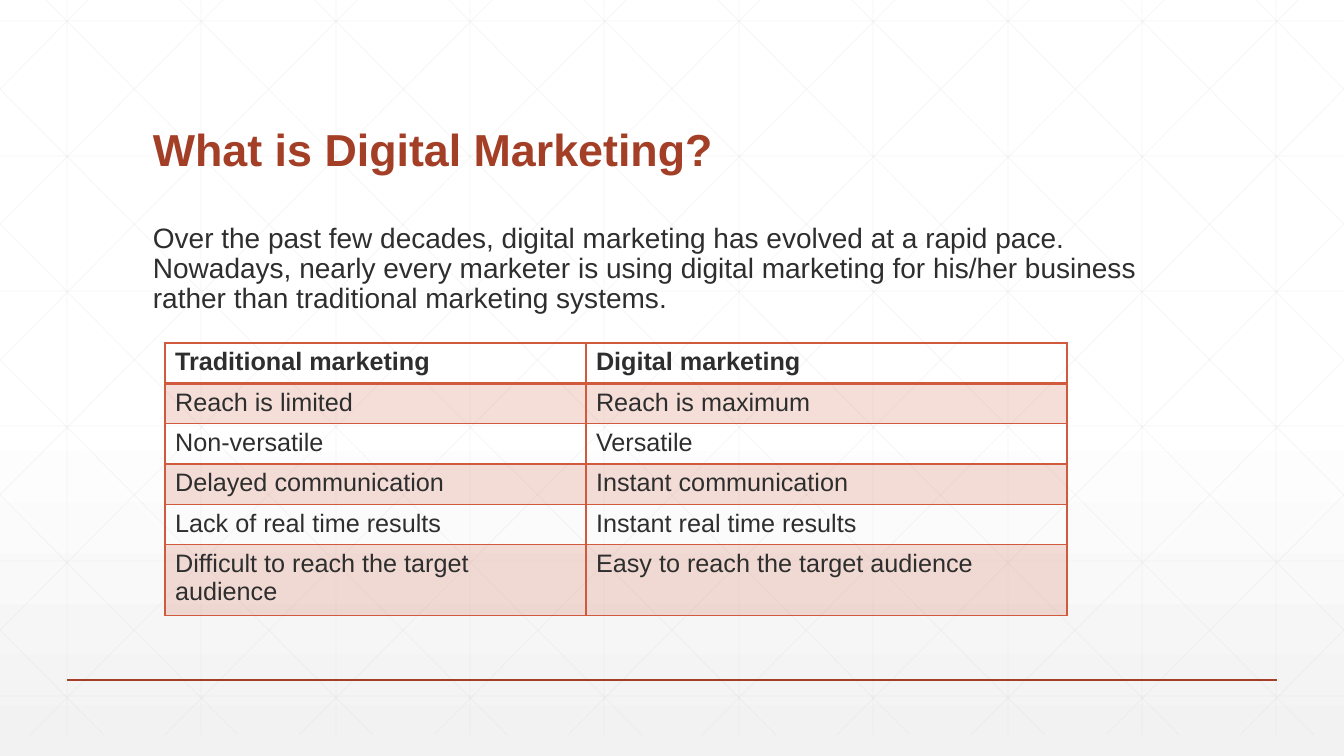
from copy import deepcopy
from dataclasses import dataclass
from lxml import etree
from pptx import Presentation, util as u
from pptx.dml.color import RGBColor
from pptx.enum import shapes, text
from pptx.oxml import ns


@dataclass(frozen=True)
class Theme:
    font: str = "Arial"
    ink: str = "2D2E2D"
    accent: str = "A43F27"
    table: str = "D15A3E"
    grid: str = "D9D9D9"
    paper: str = "FFFFFF"
    shade: str = "F2F2F2"
    title_size: int = 32
    body_size: int = 20
    table_size: int = 18


theme = Theme()
PIXEL = 914400 / 100.8
WIDTH, HEIGHT = 1344, 756
TOP, BOTTOM = -21, 735


def px(*lengths):
    return [u.Emu(round(length * PIXEL)) for length in lengths]


def write(frame, words, size, color=theme.ink, bold=False, spacing=1.0, before=0):
    frame.word_wrap = True
    paragraph = frame.paragraphs[0]
    paragraph.alignment = text.PP_ALIGN.LEFT
    paragraph.line_spacing = spacing
    paragraph.space_before = u.Pt(before)
    run = paragraph.add_run()
    run.text = words
    run.font.name = theme.font
    run.font.size = u.Pt(size)
    run.font.bold = bold
    run.font.color.rgb = RGBColor.from_string(color)


presentation = Presentation()
presentation.slide_width, presentation.slide_height = px(WIDTH, HEIGHT)
slide = presentation.slides.add_slide(presentation.slide_layouts[6])

background = slide.background.fill
background.gradient()
background.gradient_angle = 270
stop_list = slide.element.xpath(".//a:gsLst")[0]
stop_list.insert(1, deepcopy(stop_list[0]))
backdrop = [(0, theme.paper), (0.53, theme.paper), (1, theme.shade)]
for stop, (position, color) in zip(background.gradient_stops, backdrop):
    stop.position = position
    stop.color.rgb = RGBColor.from_string(color)
etree.SubElement(stop_list[-1][0], ns.qn("a:alpha"), val="65000")

lines = []
for column in range(10):
    x = WIDTH * (2 * column + 1) // 20
    lines.append((x, TOP, x, BOTTOM, theme.grid, 0.5, 25))
for row in range(6):
    y = 21 + 135 * row
    lines.append((0, y, WIDTH, y, theme.grid, 0.5, 25))

RUN = 751
slope = (BOTTOM - TOP) / RUN
for step in range(-5, 10):
    start = 25 + WIDTH * step / 10
    left, right = max(start, 0), min(start + RUN, WIDTH)
    upper, lower = [round(TOP + (x - start) * slope) for x in (left, right)]
    left, right = round(left), round(right)
    lines.append((left, upper, right, lower, theme.grid, 0.5, 25))
    lines.append((WIDTH - left, upper, WIDTH - right, lower, theme.grid, 0.5, 25))
lines.append((67, 680, 1277, 680, theme.accent, 1, 100))

for x1, y1, x2, y2, color, weight, opacity in lines:
    connector = slide.shapes.add_connector(shapes.MSO_CONNECTOR.STRAIGHT, *px(x1, y1, x2, y2))
    connector.line.width = u.Pt(weight)
    connector.line.color.rgb = RGBColor.from_string(color)
    if opacity < 100:
        tint = connector.element.xpath(".//a:ln//a:srgbClr")[0]
        etree.SubElement(tint, ns.qn("a:alpha"), val=str(opacity * 1000))
    etree.SubElement(connector.element.spPr, ns.qn("a:effectLst"))

title = slide.shapes.add_textbox(*px(143, 55, 1058, 126)).text_frame
title.vertical_anchor = text.MSO_ANCHOR.BOTTOM
write(title, "What is Digital Marketing?", theme.title_size, theme.accent, bold=True, spacing=0.9)

body = slide.shapes.add_textbox(*px(143, 219, 1058, 420)).text_frame
write(
    body,
    "Over the past few decades, digital marketing has evolved at a rapid pace. "
    "Nowadays, nearly every marketer is using digital marketing for his/her business "
    "rather than traditional marketing systems.",
    theme.body_size, spacing=0.9, before=18,
)

comparison = [
    ("Traditional marketing", "Digital marketing"),
    ("Reach is limited", "Reach is maximum"),
    ("Non-versatile", "Versatile"),
    ("Delayed communication", "Instant communication"),
    ("Lack of real time results", "Instant real time results"),
    ("Difficult to reach the target audience", "Easy to reach the target audience"),
]
table = slide.shapes.add_table(len(comparison), 2, *px(165, 343, 902, 268)).table
table.first_row = table.horz_banding = False
for column, width in zip(table.columns, px(421, 481)):
    column.width = width
for row, height in zip(table.rows, px(*[40.3] * 5, 66)):
    row.height = height

for row, entries in enumerate(comparison):
    for column, entry in enumerate(entries):
        cell = table.cell(row, column)
        write(cell.text_frame, entry, theme.table_size, bold=row == 0)
        properties = cell._tc.get_or_add_tcPr()
        for side in "LRTB":
            heavy = (row, side) in [(0, "B"), (1, "T")]
            border = etree.SubElement(properties, ns.qn(f"a:ln{side}"), w=str(u.Pt(2 if heavy else 1)))
            paint = etree.SubElement(border, ns.qn("a:solidFill"))
            etree.SubElement(paint, ns.qn("a:srgbClr"), val=theme.table)
        if row % 2:
            cell.fill.solid()
            cell.fill.fore_color.rgb = RGBColor.from_string(theme.table)
            tint = properties.xpath("./a:solidFill/a:srgbClr")[0]
            etree.SubElement(tint, ns.qn("a:alpha"), val="20000")
        else:
            cell.fill.background()

presentation.save("out.pptx")
